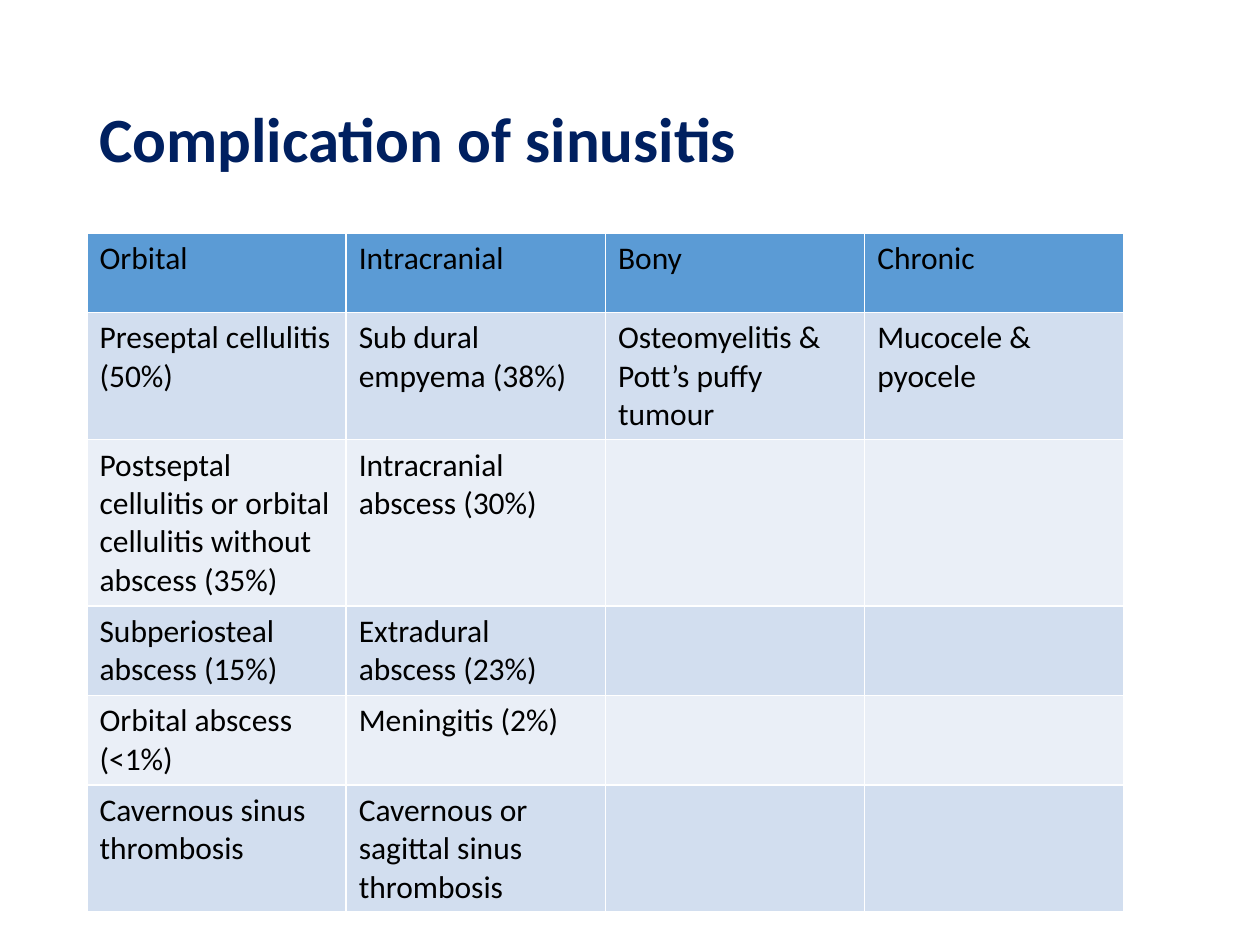
import pptx
import pptx.util
import pptx.dml.color
import pptx.enum.text

Inches = pptx.util.Inches
RGBColor = pptx.dml.color.RGBColor

NAVY = RGBColor(0x00, 0x20, 0x60)
BLACK = RGBColor(0x00, 0x00, 0x00)
HEADER_FILL = RGBColor(0x5B, 0x9B, 0xD5)
BAND_FILLS = (RGBColor(0xEA, 0xEF, 0xF7), RGBColor(0xD2, 0xDE, 0xEF))

ROWS = [
    ("Orbital", "Intracranial", "Bony", "Chronic"),
    ("Preseptal cellulitis (50%)", "Sub dural empyema (38%)",
     "Osteomyelitis & Pott’s puffy tumour", "Mucocele & pyocele"),
    ("Postseptal cellulitis or orbital cellulitis without abscess (35%)",
     "Intracranial abscess (30%)", "", ""),
    ("Subperiosteal abscess (15%)", "Extradural abscess (23%)", "", ""),
    ("Orbital abscess (<1%)", "Meningitis (2%)", "", ""),
    ("Cavernous sinus thrombosis", "Cavernous or sagittal sinus thrombosis", "", ""),
]
ROW_HEIGHTS = (0.63, 1.01, 1.32, 0.71, 0.71, 1.01)


def write_text(tf, text, size=18, color=BLACK, bold=False, line_spacing=None):
    """Write one formatted paragraph into a text frame."""
    p = tf.paragraphs[0]
    p.line_spacing = line_spacing
    r = p.add_run()
    r.text = text
    r.font.name = "Calibri"
    r.font.size = pptx.util.Pt(size)
    r.font.color.rgb = color
    r.font.bold = bold


def add_title(s, left, top, width, height):
    """Place the slide title, vertically centred in its box."""
    tf = s.shapes.add_textbox(left, top, width, height).text_frame
    tf.word_wrap = True
    tf.vertical_anchor = pptx.enum.text.MSO_ANCHOR.MIDDLE
    write_text(tf, "Complication of sinusitis", size=36, color=NAVY,
               bold=True, line_spacing=0.9)


def add_complications(s, left, top, width, height):
    """Place the table of complications with equal columns and banded rows."""
    table = s.shapes.add_table(len(ROWS), len(ROWS[0]), left, top, width, height).table
    for i, (texts, row_height) in enumerate(zip(ROWS, ROW_HEIGHTS)):
        table.rows[i].height = Inches(row_height)
        for j, text in enumerate(texts):
            cell = table.cell(i, j)
            cell.fill.solid()
            cell.fill.fore_color.rgb = BAND_FILLS[i % 2] if i else HEADER_FILL
            if text:
                write_text(cell.text_frame, text)


def main():
    """Build and save the slide."""
    prs = pptx.Presentation()
    prs.slide_width, prs.slide_height = Inches(10), Inches(7.5)
    s = prs.slides.add_slide(prs.slide_layouts[6])
    add_title(s, Inches(0.69), Inches(0.4), Inches(8.62), Inches(1.45))
    add_complications(s, Inches(0.69), Inches(1.85), Inches(8.23),
                      Inches(sum(ROW_HEIGHTS)))
    prs.save("out.pptx")


if __name__ == "__main__":
    main()
